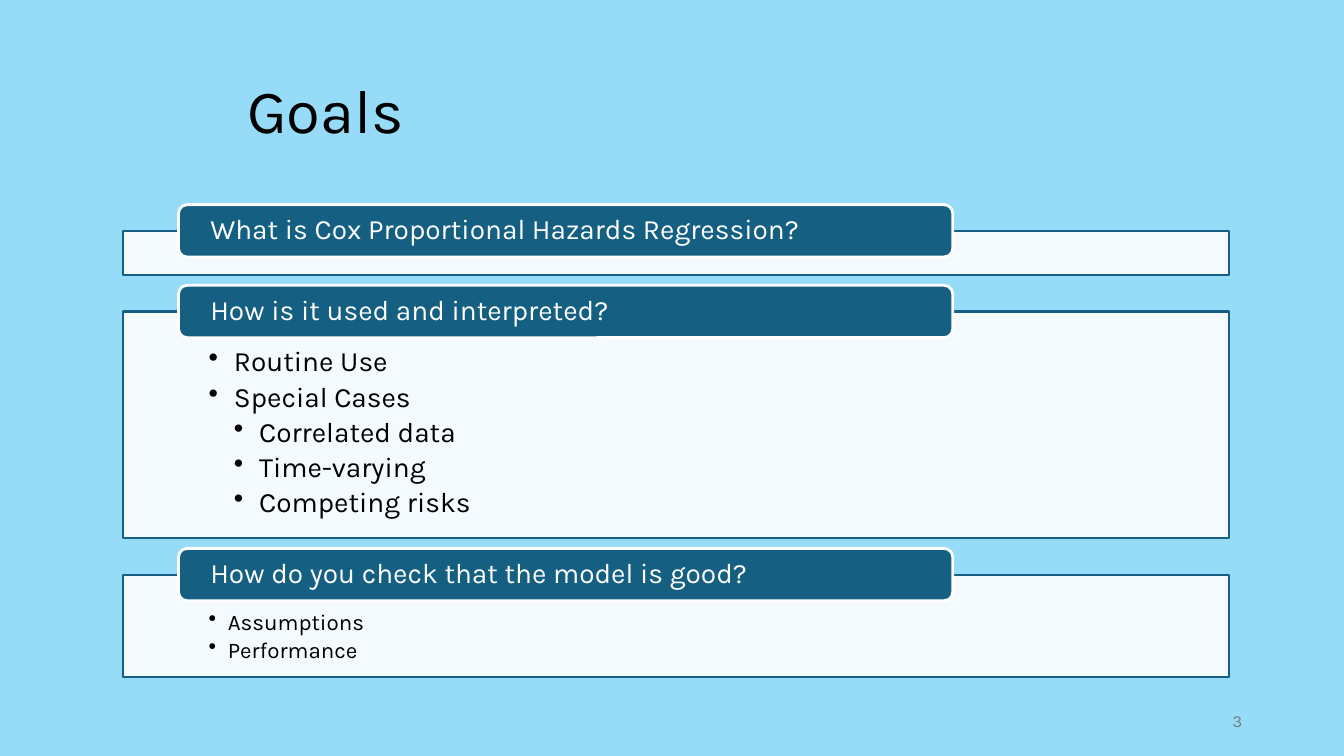
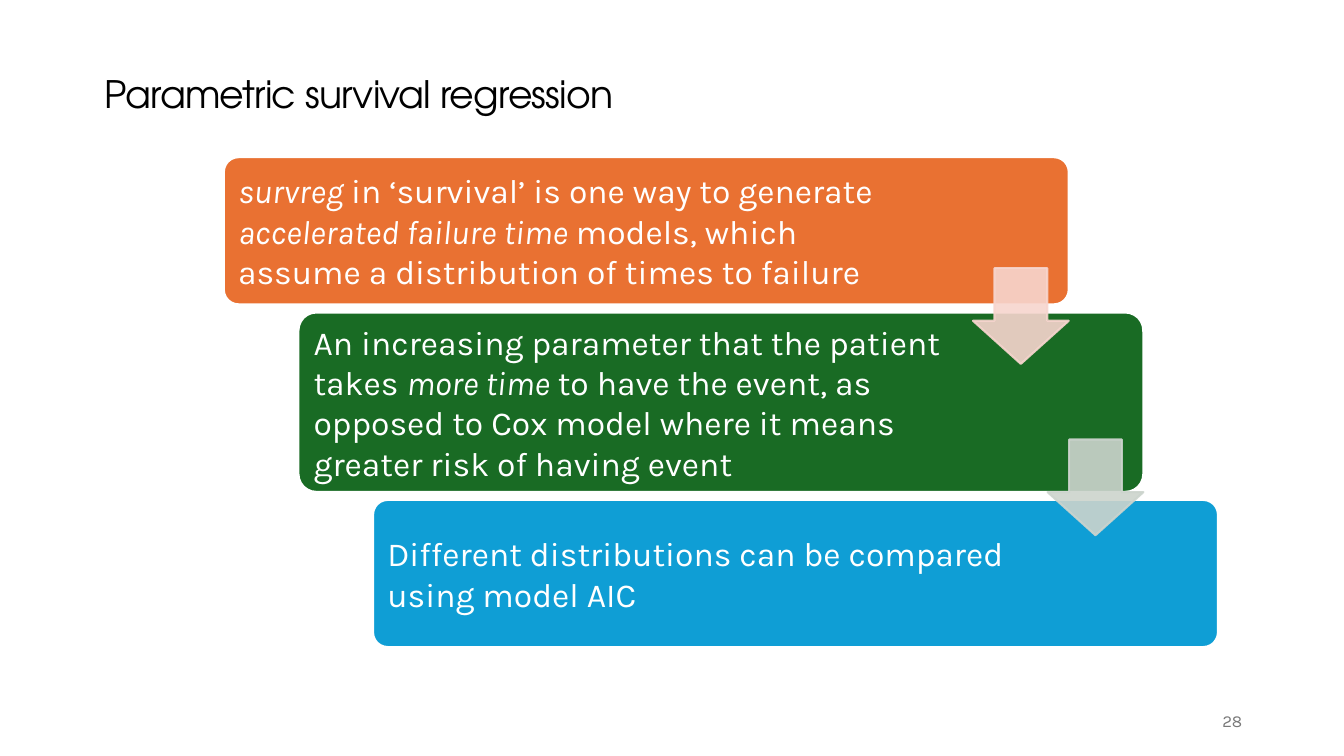
from lxml import etree
from pptx import Presentation, util as u
from pptx.dml.color import RGBColor
from pptx.enum import shapes, text
from pptx.oxml import ns

BLACK, WHITE, BLUE, GREY = "000000", "FFFFFF", "156082", "797979"
FONT, HEAD = "Karla", "TeX Gyre Adventor"
KIND, MID, TOP = shapes.MSO_SHAPE, text.MSO_ANCHOR.MIDDLE, text.MSO_ANCHOR.TOP


def block(slide, kind, at, fill, edge, width, fade=0):
    """Add a shape; the first `fade` of its fill and line colours are 90% opaque."""
    shape = slide.shapes.add_shape(kind, *map(u.Inches, at))
    shape.shadow.inherit = False
    shape.fill.solid()
    shape.fill.fore_color.rgb = RGBColor.from_string(fill)
    shape.line.color.rgb = RGBColor.from_string(edge)
    shape.line.width = u.Pt(width)
    for color in shape.element.spPr.findall(".//" + ns.qn("a:srgbClr"))[:fade]:
        etree.SubElement(color, ns.qn("a:alpha"), val="90000")
    return shape


def write(shape, lines, size, color, font=FONT, anchor=MID, pads=(0.1, 0.05, 0.1, 0.05),
          align=text.PP_ALIGN.LEFT, space=1.0):
    """Fill a shape with paragraphs; words between asterisks are italic."""
    frame = shape.text_frame
    frame.word_wrap = True
    frame.auto_size = text.MSO_AUTO_SIZE.NONE
    frame.vertical_anchor = anchor
    (frame.margin_left, frame.margin_top,
     frame.margin_right, frame.margin_bottom) = map(u.Inches, pads)
    for n, line in enumerate(lines):
        para = frame.add_paragraph() if n else frame.paragraphs[0]
        para.alignment, para.line_spacing = align, space
        para.font.name, para.font.size = font, u.Pt(size)
        para.font.color.rgb = RGBColor.from_string(color)
        for k, part in enumerate(line.split("*")):
            if part:
                run = para.add_run()
                run.text = part
                if k % 2:
                    run.font.italic = True
    return frame.paragraphs


deck = Presentation()
deck.slide_width, deck.slide_height = u.Inches(13.33), u.Inches(7.5)

# Background, title and page number of each slide
pages = [
    ("Goals", (2.35, 0.4, 8.62, 1.45), 44, FONT, MID, "96DCF8", "3"),
    ("Parametric survival regression", (0.94, 0.7, 8.12, 0.75), 27, HEAD, TOP, WHITE, "28"),
]
for name, at, size, font, anchor, back, number in pages:
    slide = deck.slides.add_slide(deck.slide_layouts[5])
    slide.background.fill.solid()
    slide.background.fill.fore_color.rgb = RGBColor.from_string(back)
    title = slide.shapes.title
    title.left, title.top, title.width, title.height = map(u.Inches, at)
    paras = write(title, [name], size, BLACK, font, anchor, space=0.9)
    if font == HEAD:
        paras[0].runs[0].font._element.set("spc", "-60")
    foot = slide.shapes.add_textbox(*map(u.Inches, (9.42, 6.95, 3, 0.4)))
    write(foot, [number], 12, GREY, align=text.PP_ALIGN.RIGHT)
goals, model = deck.slides

# Goals: panels with a heading tab and bullets (level, text)
panels = [
    ("What is Cox Proportional Hazards Regression?", 0.44, 20, 0.25, []),
    ("How is it used and interpreted?", 2.25, 20, 0.25,
     [(1, "Routine Use"), (1, "Special Cases"), (2, "Correlated data"),
      (2, "Time-varying"), (2, "Competing risks")]),
    ("How do you check that the model is good?", 1.02, 16, 0.19,
     [(1, "Assumptions"), (1, "Performance")]),
]
top = 2.29
for head, high, size, step, items in panels:
    panel = block(goals, KIND.RECTANGLE, (1.22, top, 10.97, high), WHITE, BLUE, 1.5, fade=1)
    if items:
        paras = write(panel, [item for _, item in items], size, BLACK, anchor=TOP,
                      pads=(0.85, 0.36, 0.85, 0.12), space=0.9)
        for para, (level, _) in zip(paras, items):
            para.level = level
            para.space_after = u.Pt(size * 0.175)
            props = para._p.get_or_add_pPr()
            props.set("marL", str(u.Inches(step * level)))
            props.set("indent", str(u.Inches(-step)))
            bullet = etree.Element(ns.qn("a:buChar"), char="•")
            props.find(ns.qn("a:defRPr")).addprevious(bullet)
    tab = block(goals, KIND.ROUNDED_RECTANGLE, (1.77, top - 0.26, 7.68, 0.52), BLUE, WHITE, 2)
    write(tab, [head], 20, WHITE, pads=(0.29, 0, 0.29, 0), space=0.9)
    top += high + 0.36

# Model: steps going down to the right
steps = [
    ("*survreg* in ‘survival’ is one way to generate *accelerated failure time* models, "
     "which assume a distribution of times to failure", 1.46, "E97132"),
    ("An increasing parameter that the patient takes *more time* to have the event, "
     "as opposed to Cox model where it means greater risk of having event", 1.78, "196B24"),
    ("Different distributions can be compared using model AIC", 1.46, "0F9ED5"),
]
left, top, shift = 2.22, 1.56, 0.74
for n, (words, high, fill) in enumerate(steps):
    step = block(model, KIND.ROUNDED_RECTANGLE, (left + n * shift, top, 8.38, high),
                 fill, WHITE, 1.5)
    step.adjustments[0] = 0.1
    write(step, [words], 24, WHITE, pads=(0.1, 0.1, 1.7, 0.1))
    top += high + 0.08

# Arrows at the right edges of the first two steps
side = 0.95
for n, (top, fill) in enumerate([(2.66, "F7D5CE"), (4.36, "CCD4CD")]):
    arrow = block(model, KIND.DOWN_ARROW, (left + 8.38 - side + n * shift, top, side, side),
                  fill, fill, 1.5, fade=2)
    arrow.adjustments[0], arrow.adjustments[1] = 0.55, 0.45

deck.save("out.pptx")
